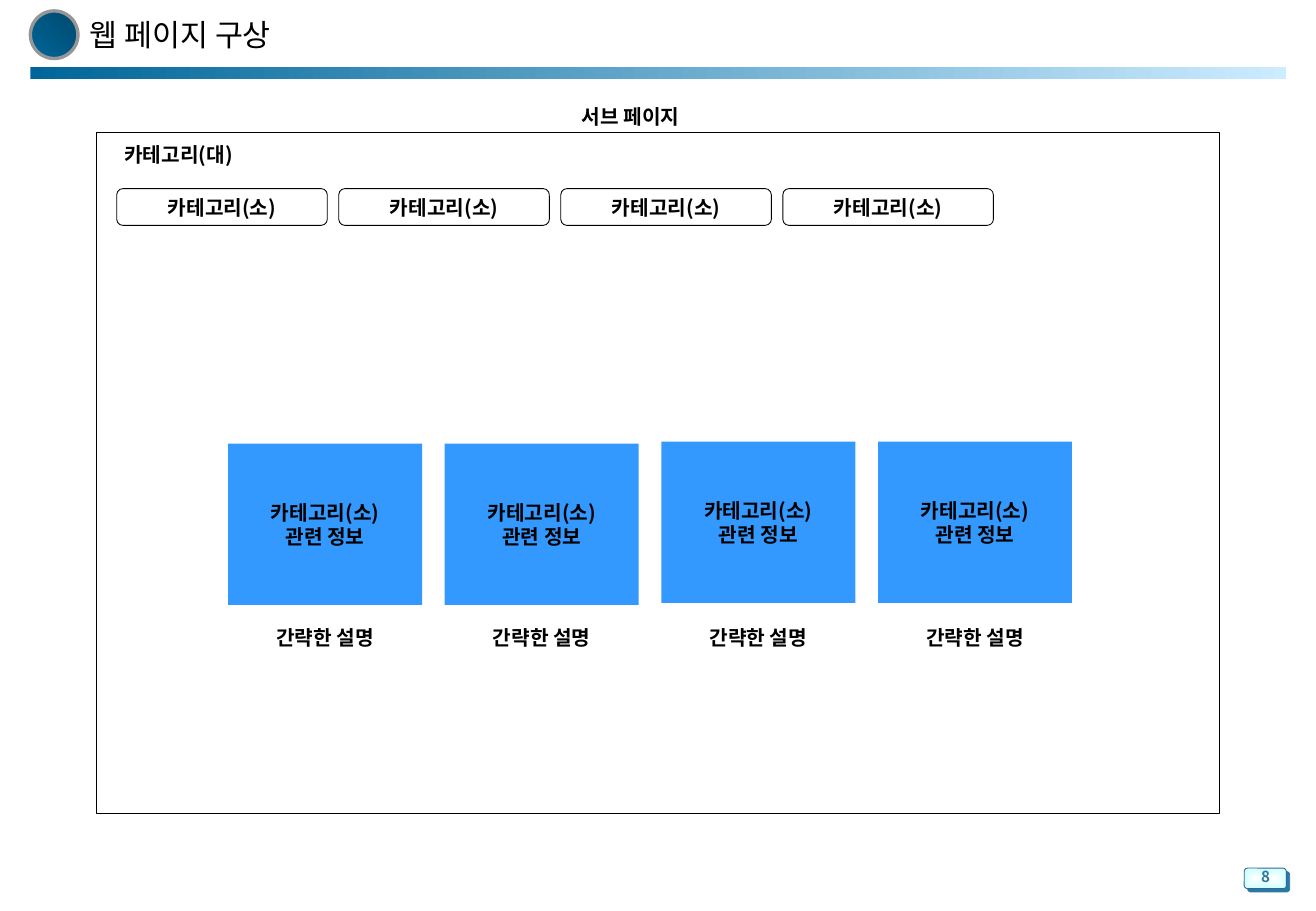
from pptx import Presentation
from pptx.dml.color import RGBColor
from pptx.enum.shapes import MSO_SHAPE as Shape
from pptx.enum.text import MSO_ANCHOR as Anchor, PP_ALIGN as Align
from pptx.oxml.ns import qn
from pptx.util import Pt
from lxml.etree import SubElement

FONT = "Noto Sans CJK KR"
BLACK = "000000"
BADGE_INK = "297AA3"


def color(value):
    return RGBColor.from_string(value)


def write(shape, text, size=12, bold=True, ink=BLACK, align=Align.CENTER,
          anchor=Anchor.MIDDLE, wrap=True):
    frame = shape.text_frame
    frame.word_wrap = wrap
    frame.vertical_anchor = anchor
    for index, line in enumerate(text.split("\n")):
        para = frame.paragraphs[0] if index == 0 else frame.add_paragraph()
        para.alignment = align
        span = para.add_run()
        span.text = line
        span.font.name = FONT
        span.font.size = Pt(size)
        span.font.bold = bold
        span.font.color.rgb = color(ink)
        SubElement(span.font._element, qn("a:ea"), typeface=FONT)


def add_label(page, text, left, top, width, height=21.6, **style):
    box = page.shapes.add_textbox(Pt(left), Pt(top), Pt(width), Pt(height))
    write(box, text, **{"anchor": Anchor.TOP, **style})


def add_box(page, kind, left, top, width, height, fill=None, line=None, weight=0.5):
    box = page.shapes.add_shape(kind, Pt(left), Pt(top), Pt(width), Pt(height))
    box.shadow.inherit = False
    if fill:
        box.fill.solid()
        box.fill.fore_color.rgb = color(fill)
    else:
        box.fill.background()
    if line:
        box.line.color.rgb = color(line)
        box.line.width = Pt(weight)
    else:
        box.line.fill.background()
    return box


def shade(box, start, end, angle=0):
    box.fill.gradient()
    box.fill.gradient_angle = angle
    for stop, value in zip(box.fill.gradient_stops, (start, end)):
        stop.color.rgb = color(value)


def shade_from_center(box, start, end):
    shade(box, start, end)
    gradient = box._element.spPr.find(qn("a:gradFill"))
    gradient.remove(gradient.find(qn("a:lin")))
    center = SubElement(gradient, qn("a:path"), path="shape")
    SubElement(center, qn("a:fillToRect"), l="50000", t="50000", r="50000", b="50000")


def cast_shadow(box, value, distance):
    effects = box._element.spPr.find(qn("a:effectLst"))
    shadow = SubElement(effects, qn("a:outerShdw"), dist=str(Pt(distance)),
                        dir="2700000", algn="ctr", rotWithShape="0")
    SubElement(shadow, qn("a:srgbClr"), val=value)


def add_header(page, title):
    bar = add_box(page, Shape.RECTANGLE, 18, 39.8, 744.3, 7)
    shade(bar, "006699", "CCECFF")
    bullet = add_box(page, Shape.OVAL, 18, 6.5, 28.2, 28.2, line="969696", weight=2)
    shade(bullet, "006699", "00496D", angle=45)
    add_label(page, title, 46.1, 4.3, 393, 31.7, size=18, bold=False,
              align=Align.LEFT, anchor=Anchor.MIDDLE)


def add_page_badge(page, number):
    badge = add_box(page, Shape.ROUNDED_RECTANGLE, 737.5, 514.6, 25, 12.2, line="336699")
    shade_from_center(badge, "FFFFFF", "CCFFFF")
    cast_shadow(badge, BADGE_INK, 2.8)
    add_label(page, number, 735.8, 511.9, 28.8, 16.6, size=9, ink=BADGE_INK,
              anchor=Anchor.BOTTOM)


def add_tab(page, index):
    tab = add_box(page, Shape.ROUNDED_RECTANGLE, 69.2 + 131.6 * index, 111.8,
                  124.8, 21.8, line=BLACK)
    write(tab, "카테고리(소)", wrap=False)


def add_card(page, index, top):
    left = 135.2 + 128.4 * index
    card = add_box(page, Shape.RECTANGLE, left, top, 115, 95.6, fill="3399FF")
    write(card, "카테고리(소)\n관련 정보", wrap=False)
    add_label(page, "간략한 설명", left - 0.8, 367.2, 116.6)


def main():
    deck = Presentation()
    deck.slide_width, deck.slide_height = Pt(780), Pt(540)
    page = deck.slides.add_slide(deck.slide_layouts[6])
    add_header(page, "웹 페이지 구상")
    add_page_badge(page, "8")
    add_box(page, Shape.RECTANGLE, 57, 78.5, 666, 404, line=BLACK)
    add_label(page, "서브 페이지", 315.4, 58.3, 116.6)
    add_label(page, "카테고리(대)", 47.5, 80.6, 116.6)
    for index, card_top in enumerate((263, 263, 261.8, 261.8)):
        add_tab(page, index)
        add_card(page, index, card_top)
    deck.save("out.pptx")


main()
